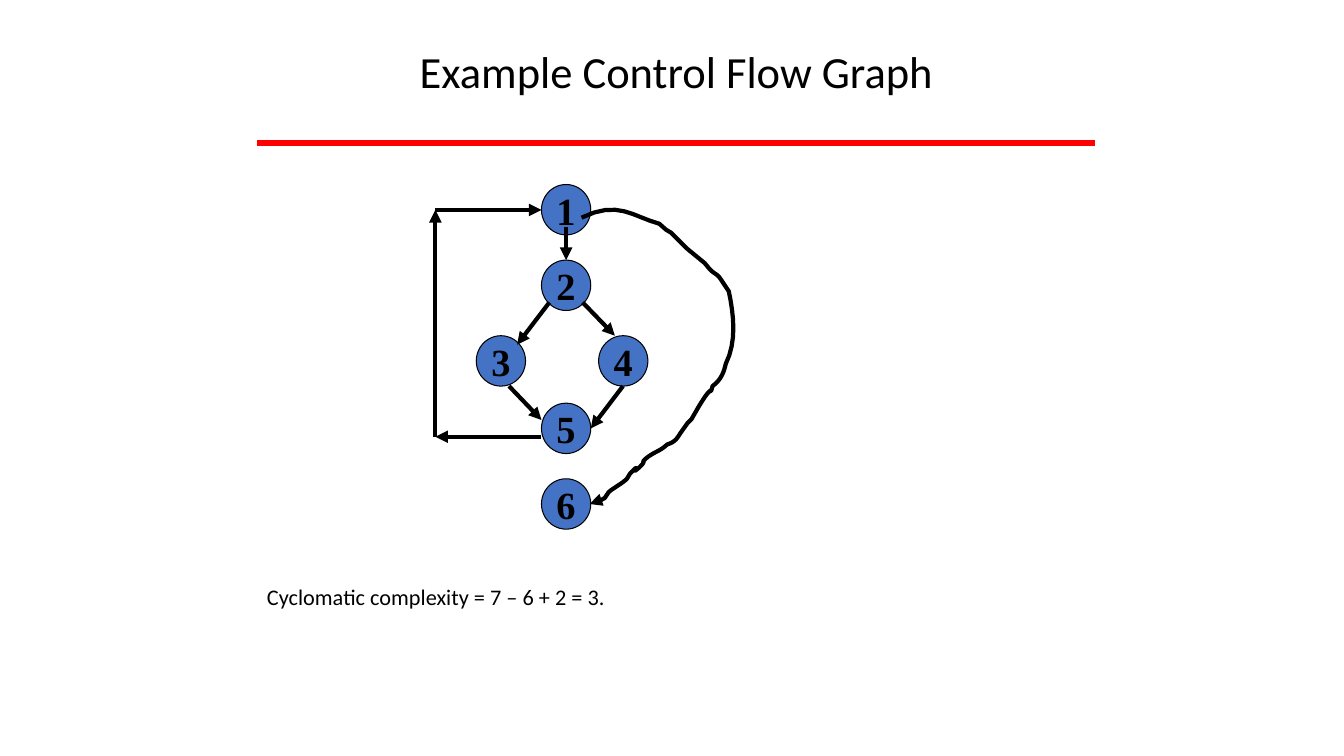
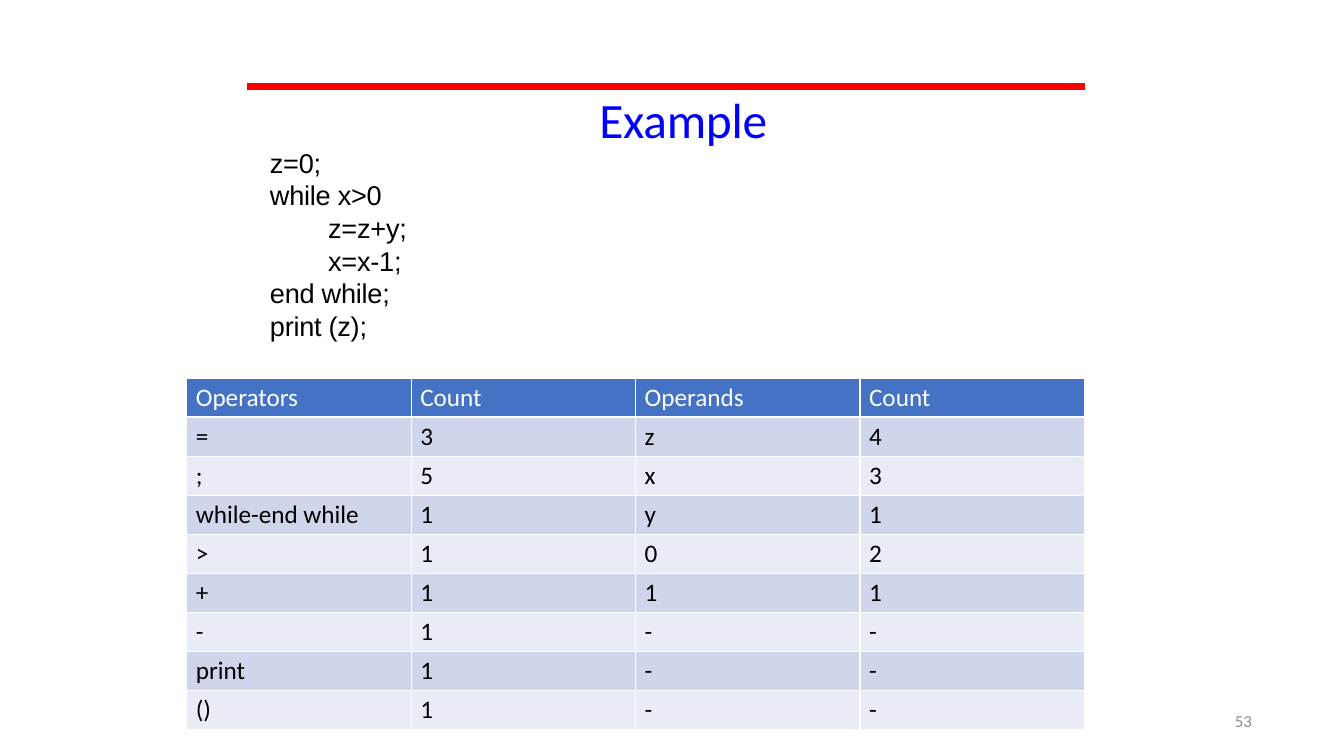
"""Build two slides on control flow graphs and operator counts."""
from dataclasses import dataclass

from lxml.etree import SubElement
from pptx import Presentation
from pptx.dml.color import RGBColor
from pptx.enum.shapes import MSO_CONNECTOR, MSO_SHAPE
from pptx.enum.text import MSO_ANCHOR, MSO_AUTO_SIZE, PP_ALIGN
from pptx.oxml.ns import qn
from pptx.util import Pt


@dataclass(frozen=True)
class Theme:
    black: RGBColor = RGBColor(0x00, 0x00, 0x00)
    white: RGBColor = RGBColor(0xFF, 0xFF, 0xFF)
    red: RGBColor = RGBColor(0xFF, 0x00, 0x00)
    title_blue: RGBColor = RGBColor(0x00, 0x00, 0xFF)
    accent: RGBColor = RGBColor(0x44, 0x72, 0xC4)
    band_dark: RGBColor = RGBColor(0xCF, 0xD5, 0xEA)
    band_light: RGBColor = RGBColor(0xE9, 0xEB, 0xF5)
    gray: RGBColor = RGBColor(0x8C, 0x8C, 0x8C)
    body_font: str = "Calibri"
    code_font: str = "Arial"
    node_font: str = "Times New Roman"
    graph_title_size: float = 31.8
    example_title_size: float = 35.3
    node_size: float = 27.4
    code_size: float = 19.4
    table_size: float = 18
    caption_size: float = 15.9
    number_size: float = 12


theme = Theme()


def write(paragraph, text, size, color=theme.black, face=theme.body_font, bold=False, tracking=0):
    run = paragraph.add_run()
    run.text = text
    run.font.size = Pt(size)
    run.font.name = face
    run.font.bold = bold
    run.font.color.rgb = color
    if tracking:
        run.font._element.set("spc", str(round(tracking * 100)))


def draw_line(slide, start, end, color, width, arrow=False):
    line = slide.shapes.add_connector(
        MSO_CONNECTOR.STRAIGHT, *[Pt(value) for value in (*start, *end)])
    line.line.color.rgb = color
    line.line.width = Pt(width)
    if arrow:
        SubElement(line.line._get_or_add_ln(), qn("a:tailEnd"), type="triangle")
    SubElement(line._element.spPr, qn("a:effectLst"))


deck = Presentation()
deck.slide_width, deck.slide_height = Pt(960), Pt(540)

slides = []
for heading, left, top, size, color, spacing, tracking, rule_left, rule_top in (
    ("Example Control Flow Graph", 183.6, 31.7, theme.graph_title_size, theme.black, 0.9, 0, 183.6, 102.2),
    ("Example", 188.6, 63.4, theme.example_title_size, theme.title_blue, 1, -0.2, 176.4, 61.9),
):
    slide = deck.slides.add_slide(deck.slide_layouts[5])
    title = slide.shapes.title
    title.left, title.top, title.width, title.height = Pt(left), Pt(top), Pt(599), Pt(42.5)
    frame = title.text_frame
    frame.auto_size = MSO_AUTO_SIZE.NONE
    frame.vertical_anchor = MSO_ANCHOR.MIDDLE
    frame.margin_left = frame.margin_right = frame.margin_top = frame.margin_bottom = 0
    paragraph = frame.paragraphs[0]
    paragraph.alignment = PP_ALIGN.CENTER
    paragraph.line_spacing = spacing
    write(paragraph, heading, size, color, tracking=tracking)
    draw_line(slide, (rule_left, rule_top), (rule_left + 598.3, rule_top), theme.red, 4.5)
    slides.append(slide)
graph_slide, example_slide = slides

for label, left, top in (
    ("1", 386.8, 131.8), ("2", 386.8, 185.8), ("3", 340.2, 239.8),
    ("4", 427.6, 239.8), ("5", 386.8, 288), ("6", 386.8, 342),
):
    node = graph_slide.shapes.add_shape(MSO_SHAPE.OVAL, Pt(left), Pt(top), Pt(35.2), Pt(36))
    node.shadow.inherit = False
    node.fill.solid()
    node.fill.fore_color.rgb = theme.accent
    node.line.color.rgb = theme.black
    node.line.width = Pt(0.75)
    node.text_frame.word_wrap = False
    node.text_frame.vertical_anchor = MSO_ANCHOR.MIDDLE
    paragraph = node.text_frame.paragraphs[0]
    paragraph.alignment = PP_ALIGN.CENTER
    write(paragraph, label, theme.node_size, face=theme.node_font, bold=True)

for start, end in (
    ((404.4, 162), (404.4, 185.8)),
    ((392.4, 216), (369.4, 246.2)),
    ((416.2, 216), (439.2, 239.8)),
    ((363.6, 275.8), (386.8, 300)),
    ((445, 275.8), (422, 306)),
    ((386.8, 312), (311, 312)),
    ((311, 312), (311, 150)),
    ((311, 150), (386.8, 150)),
):
    draw_line(graph_slide, start, end, theme.black, 3, arrow=True)

exit_start = (415.4, 155.5)
exit_steps = (
    ((441.4, 142.6), (452.2, 154.8), (470.9, 159.8)),
    ((475.9, 164.2),), ((479.5, 166.3),), ((491, 177.8),), ((503.3, 187.9),), ((506.9, 192.2),),
    ((511.2, 196.6), (511.9, 195.1), (514.8, 199.4)),
    ((517.7, 203.8),), ((520.6, 208.1),),
    ((524.2, 225.4), (526.3, 244.1), (518.4, 259.9)),
    ((517, 266.4), (514.8, 271.4), (509, 275.8)),
    ((506.2, 285.1), (511.2, 270.7), (499.7, 289.4)),
    ((493.9, 299.5),), ((491, 302.4),), ((487.4, 307.4),),
    ((483.8, 312.5), (483.1, 315.4), (476.6, 317.5)),
    ((470.9, 322.6), (469.4, 321.8), (463, 326.2)),
    ((455.8, 331.9), (463, 327.6), (457.2, 333.4)),
    ((447.8, 342), (460.1, 327.6), (450, 338.4)),
    ((447.8, 342),),
    ((444.2, 345.6), (439.2, 347.8), (434.9, 351.4)),
    ((432, 355.7),),
    ((429.8, 357.1), (424.1, 360), (421.2, 360)),
)
exit_points = [exit_start]
for step in exit_steps:
    if len(step) == 1:
        exit_points.append(step[0])
        continue
    controls = (exit_points[-1], *step)
    for part in range(1, 9):
        t = part / 8
        weights = ((1 - t) ** 3, 3 * t * (1 - t) ** 2, 3 * t ** 2 * (1 - t), t ** 3)
        exit_points.append(tuple(
            sum(weight * point[axis] for weight, point in zip(weights, controls))
            for axis in (0, 1)))
outline = graph_slide.shapes.build_freeform(Pt(exit_start[0]), Pt(exit_start[1]))
outline.add_line_segments([(Pt(x), Pt(y)) for x, y in exit_points[1:]], close=False)
exit_edge = outline.convert_to_shape()
exit_edge.shadow.inherit = False
exit_edge.fill.background()
exit_edge.line.color.rgb = theme.black
exit_edge.line.width = Pt(3)
SubElement(exit_edge.line._get_or_add_ln(), qn("a:tailEnd"), type="triangle")

caption = graph_slide.shapes.add_textbox(Pt(183.6), Pt(413.3), Pt(349.2), Pt(26.6))
caption.text_frame.word_wrap = True
write(caption.text_frame.paragraphs[0], "Cyclomatic complexity = 7 – 6 + 2 = 3.", theme.caption_size)

code = example_slide.shapes.add_textbox(Pt(192.8), Pt(104.4), Pt(591), Pt(150))
page_number = example_slide.shapes.add_textbox(Pt(678.2), Pt(500.4), Pt(216), Pt(28.8))
for box in (code, page_number):
    frame = box.text_frame
    frame.word_wrap = True
    frame.margin_left = frame.margin_right = frame.margin_top = frame.margin_bottom = 0

code_lines = ("z=0;", "while x>0", "        z=z+y;", "        x=x-1;", "end while;", "print (z);")
for index, statement in enumerate(code_lines):
    frame = code.text_frame
    paragraph = frame.add_paragraph() if index else frame.paragraphs[0]
    paragraph.line_spacing = Pt(23.3)
    write(paragraph, statement, theme.code_size, face=theme.code_font, tracking=-0.2)

page_number.text_frame.vertical_anchor = MSO_ANCHOR.MIDDLE
paragraph = page_number.text_frame.paragraphs[0]
paragraph.alignment = PP_ALIGN.RIGHT
write(paragraph, "53", theme.number_size, theme.gray)

counts = (
    ("Operators", "Count", "Operands", "Count"),
    ("=", "3", "z", "4"),
    (";", "5", "x", "3"),
    ("while-end while", "1", "y", "1"),
    (">", "1", "0", "2"),
    ("+", "1", "1", "1"),
    ("-", "1", "-", "-"),
    ("print", "1", "-", "-"),
    ("()", "1", "-", "-"),
)
count_table = example_slide.shapes.add_table(
    len(counts), len(counts[0]), Pt(133.4), Pt(270), Pt(641.2), Pt(251.1)).table
for row_index, entries in enumerate(counts):
    count_table.rows[row_index].height = Pt(27.9)
    if row_index == 0:
        fill, color = theme.accent, theme.white
    else:
        fill, color = (theme.band_dark if row_index % 2 else theme.band_light), theme.black
    for column_index, entry in enumerate(entries):
        cell = count_table.cell(row_index, column_index)
        cell.margin_left = cell.margin_right = Pt(6.5)
        cell.margin_top = cell.margin_bottom = Pt(2.9)
        write(cell.text_frame.paragraphs[0], entry, theme.table_size, color)
        for side in ("lnL", "lnR", "lnT", "lnB"):
            border = SubElement(cell._tc.get_or_add_tcPr(), qn(f"a:{side}"), w=str(Pt(1)))
            border_fill = SubElement(border, qn("a:solidFill"))
            SubElement(border_fill, qn("a:srgbClr"), val=str(theme.white))
        cell.fill.solid()
        cell.fill.fore_color.rgb = fill

deck.save("out.pptx")
